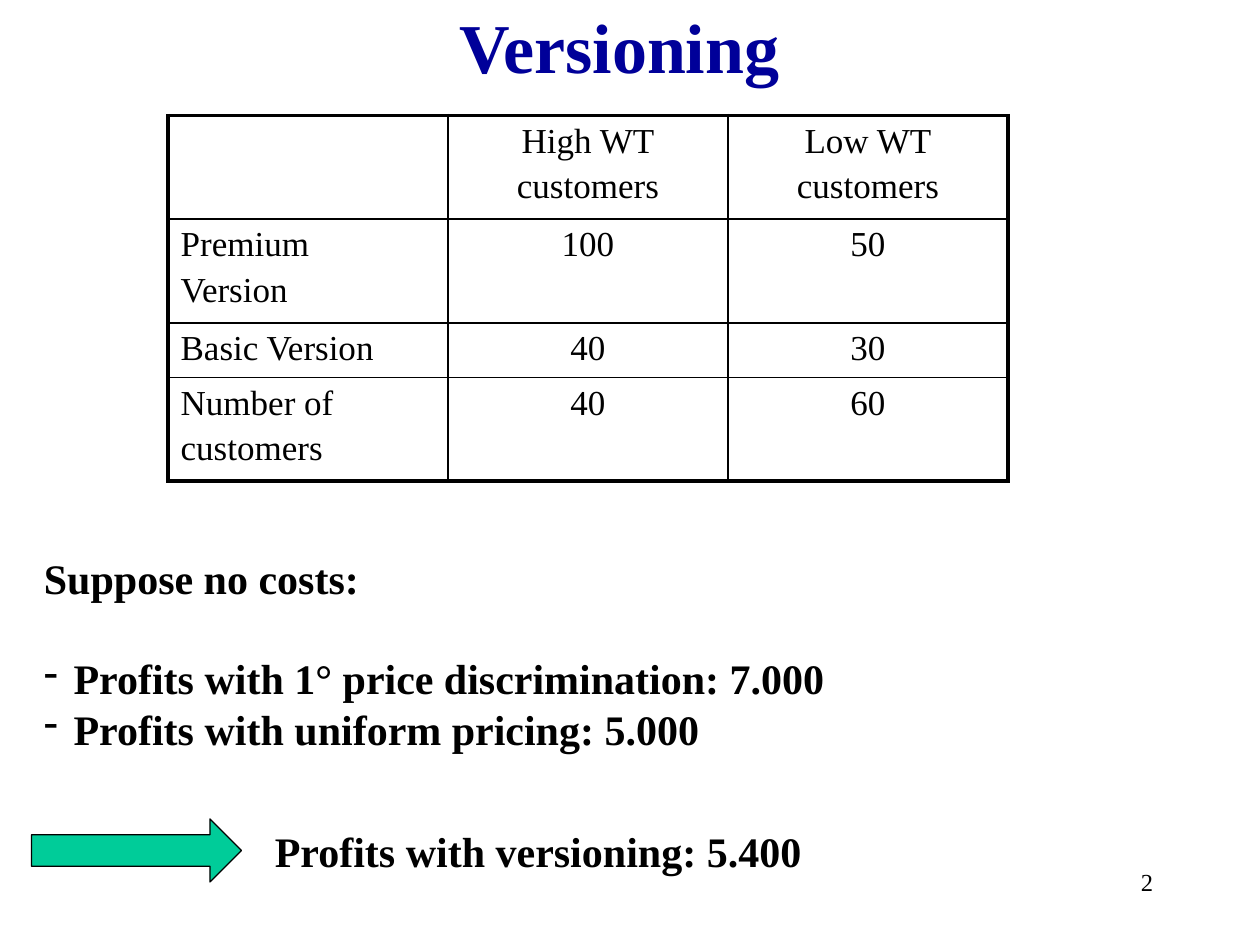
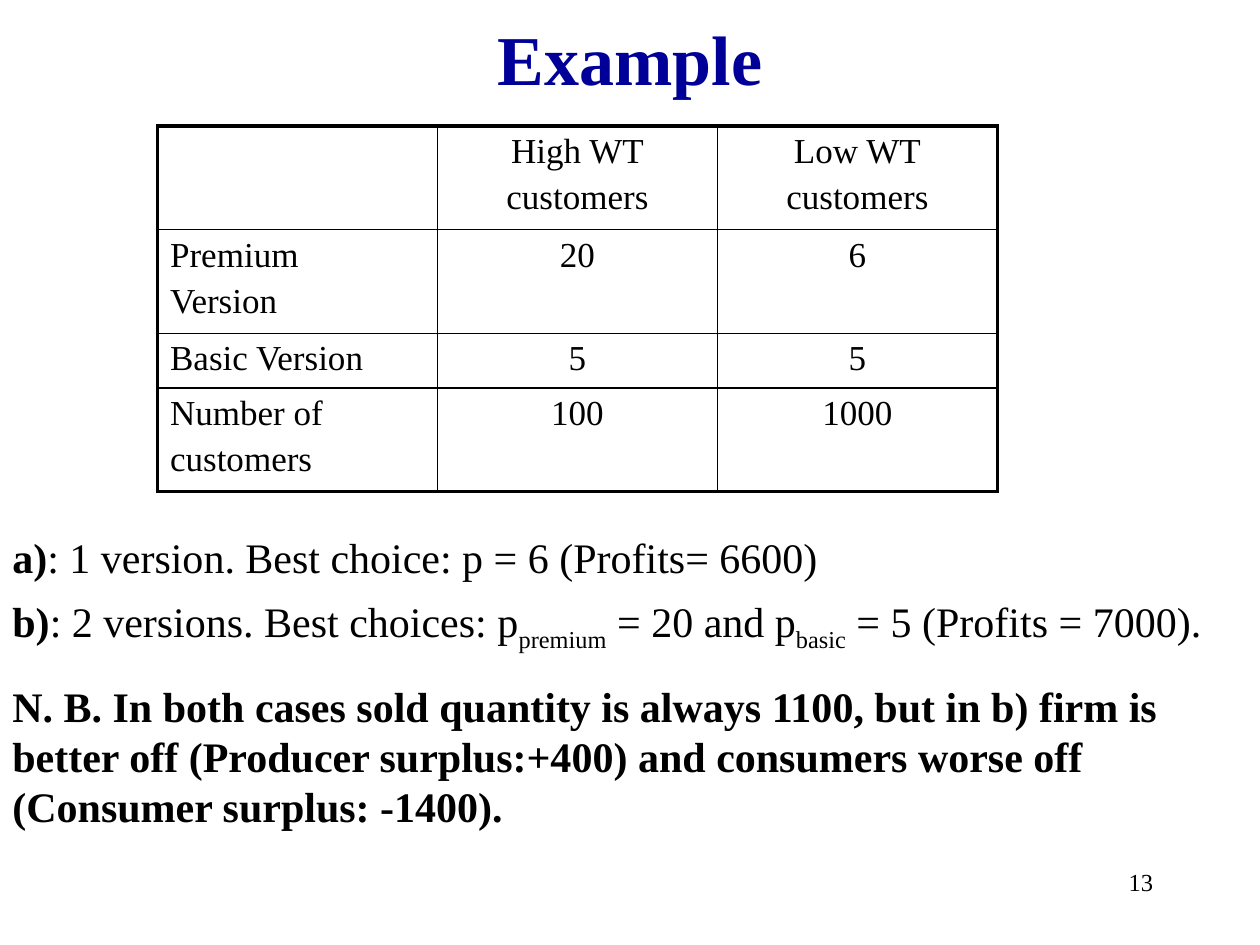
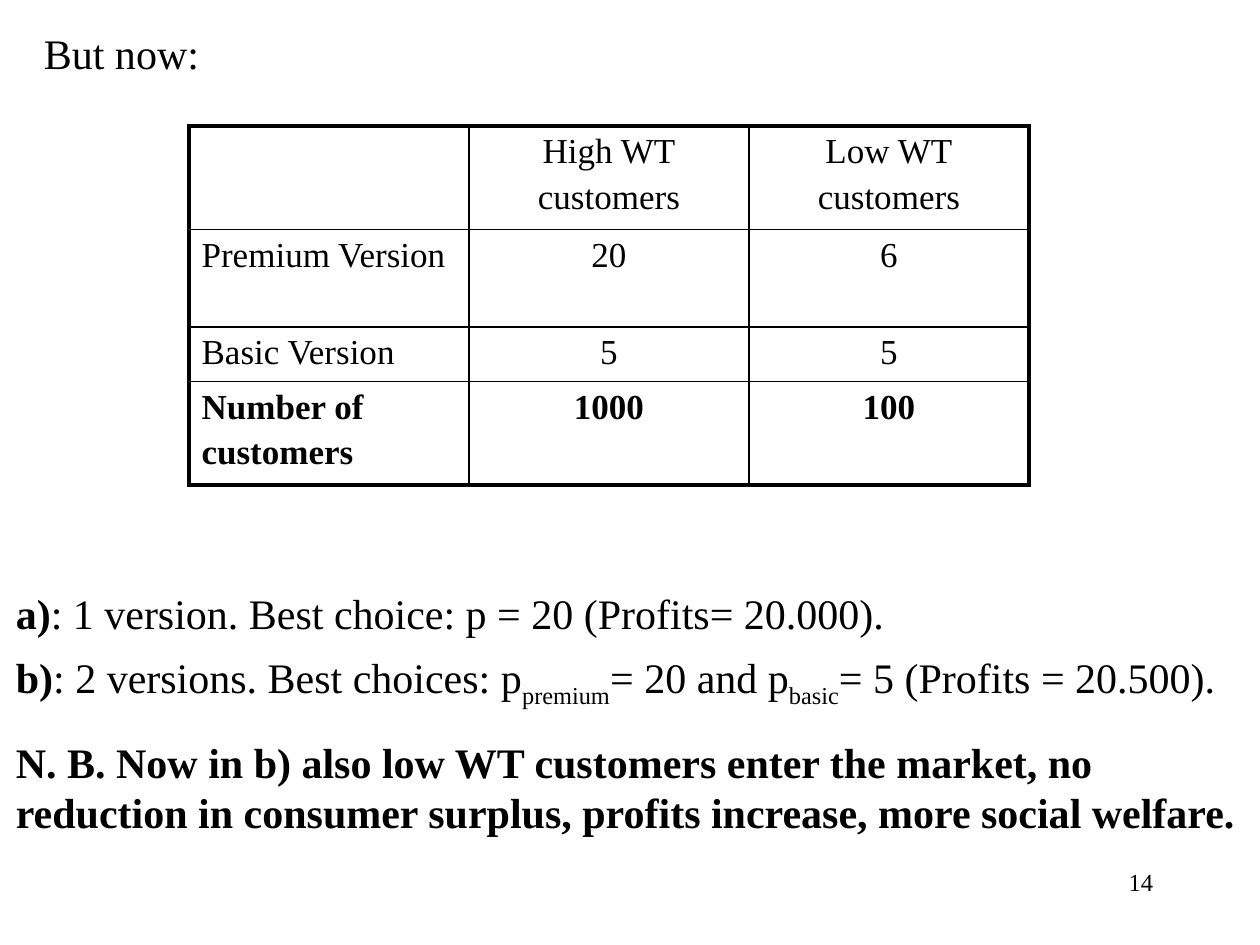
from lxml import etree
from pptx import Presentation
from pptx.dml.color import RGBColor
from pptx.enum.shapes import MSO_SHAPE
from pptx.enum.text import MSO_ANCHOR, PP_ALIGN
from pptx.oxml.ns import qn
from pptx.util import Pt

LEFT, CENTER, RIGHT = PP_ALIGN.LEFT, PP_ALIGN.CENTER, PP_ALIGN.RIGHT
TOP, MIDDLE = MSO_ANCHOR.TOP, MSO_ANCHOR.MIDDLE
RIGHT_ARROW = MSO_SHAPE.RIGHT_ARROW

COLORS = {"title": "000099", "text": "000000", "arrow": "00CC99"}
FONT = "Times New Roman"
BODY_SIZE = 24
LINE_RATIO = 1.2
COLUMN_WIDTH = 160
OUTER_BORDER, INNER_BORDER = 2.25, 1
HEADER = ["", "High WT\ncustomers", "Low WT\ncustomers"]


def answers(single, premium, basic, note):
    return [
        [("a)", "bold"), (single, "")],
        [("b)", "bold"), (": 2 versions. Best choices: p", ""), ("premium", "sub"),
         (premium, ""), ("basic", "sub"), (basic, "")],
        [(note, "bold")],
    ]


SLIDES = [
    {
        "number": "2",
        "title": ("Versioning", (48, 0, 612, 52)),
        "table_at": (96, 66),
        "row_heights": [55.5, 55.5, 29.3, 55.5],
        "rows": [
            HEADER,
            ["Premium\nVersion", "100", "50"],
            ["Basic Version", "40", "30"],
            ["Number of\ncustomers", "40", "60"],
        ],
        "texts": [
            {"content": ["Suppose no costs:",
                         "Profits with 1° price discrimination: 7.000",
                         "Profits with uniform pricing: 5.000"],
             "box": (18, 312, 654, 152), "bold": True, "gaps": [0, 28.8, 0], "bullets_from": 1},
            {"content": ["Profits with versioning: 5.400"],
             "box": (150, 468, 396, 36), "bold": True},
        ],
        "arrow": (18, 468, 120, 36),
    },
    {
        "number": "13",
        "title": ("Example", (54, -12, 612, 90)),
        "table_at": (90, 72),
        "row_heights": [59.2, 59.2, 31.2, 59.2],
        "rows": [
            HEADER,
            ["Premium\nVersion", "20", "6"],
            ["Basic Version", "5", "5"],
            ["Number of\ncustomers", "100", "1000"],
        ],
        "texts": [
            {"content": answers(
                ": 1 version. Best choice: p = 6 (Profits= 6600)",
                " = 20 and p", " = 5 (Profits = 7000).",
                "N. B. In both cases sold quantity is always 1100, but in b) firm is better off "
                "(Producer surplus:+400) and consumers worse off (Consumer surplus: -1400)."),
             "box": (0, 300, 708, 181), "gaps": [0, 12, 15.5]},
        ],
    },
    {
        "number": "14",
        "table_at": (108, 72),
        "row_heights": [59.2, 55.5, 31.2, 59.2],
        "rows": [
            HEADER,
            ["Premium Version", "20", "6"],
            ["Basic Version", "5", "5"],
            ["Number of\ncustomers", "1000", "100"],
        ],
        "bold_row": 3,
        "texts": [
            {"content": ["But now:"], "box": (18, 12, 168, 36)},
            {"content": answers(
                ": 1 version. Best choice: p = 20 (Profits= 20.000).",
                "= 20 and p", "= 5 (Profits = 20.500).",
                "N. B. Now in b) also low WT customers enter the market, no reduction in "
                "consumer surplus, profits increase, more social welfare."),
             "box": (2, 332, 720, 196), "gaps": [0, 12, 15.5]},
        ],
    },
]


def points(values):
    return [Pt(value) for value in values]


def add_bullet(paragraph):
    properties = paragraph._p.get_or_add_pPr()
    properties.set("marL", str(Pt(17)))
    properties.set("indent", str(-Pt(17)))
    etree.SubElement(properties, qn("a:buChar"), char="-")


def write_text(frame, content, size=BODY_SIZE, bold=False, color="text", align=LEFT,
               gaps=None, bullets_from=None, line_ratio=None):
    for index, runs in enumerate(content):
        paragraph = frame.paragraphs[0] if index == 0 else frame.add_paragraph()
        paragraph.alignment = align
        if line_ratio:
            paragraph.line_spacing = Pt(size * line_ratio)
        if gaps and gaps[index]:
            paragraph.space_before = Pt(gaps[index])
        if bullets_from is not None and index >= bullets_from:
            add_bullet(paragraph)
        for words, style in [(runs, "")] if isinstance(runs, str) else runs:
            run = paragraph.add_run()
            run.text = words
            run.font.name = FONT
            run.font.size = Pt(size)
            run.font.bold = bold or style == "bold"
            run.font.color.rgb = RGBColor.from_string(COLORS[color])
            if style == "sub":
                run.font._element.set("baseline", "-25000")


def add_text(slide, content, box, anchor=TOP, **text_format):
    frame = slide.shapes.add_textbox(*points(box)).text_frame
    frame.word_wrap = True
    frame.vertical_anchor = anchor
    write_text(frame, content, line_ratio=LINE_RATIO, **text_format)


def set_borders(cell, widths):
    properties = cell._tc.get_or_add_tcPr()
    for index, (side, width) in enumerate(widths.items()):
        line = etree.Element(qn(f"a:ln{side}"), w=str(Pt(width)))
        fill = etree.SubElement(line, qn("a:solidFill"))
        etree.SubElement(fill, qn("a:srgbClr"), val=COLORS["text"])
        properties.insert(index, line)


def add_customer_table(slide, rows, position, row_heights, bold_row=None):
    last_row, last_column = len(rows) - 1, len(HEADER) - 1
    size = (COLUMN_WIDTH * len(HEADER), sum(row_heights))
    table = slide.shapes.add_table(len(rows), len(HEADER), *points(position + size)).table
    table.first_row = table.horz_banding = False
    for column in table.columns:
        column.width = Pt(COLUMN_WIDTH)
    for row_index, row in enumerate(rows):
        table.rows[row_index].height = Pt(row_heights[row_index])
        for column_index, words in enumerate(row):
            cell = table.cell(row_index, column_index)
            cell.fill.background()
            edges = {"L": column_index == 0, "R": column_index == last_column,
                     "T": row_index == 0, "B": row_index == last_row}
            set_borders(cell, {side: OUTER_BORDER if outer else INNER_BORDER
                               for side, outer in edges.items()})
            if words:
                write_text(cell.text_frame, words.split("\n"), size=20, gaps=[0, 4],
                           bold=row_index == bold_row,
                           align=CENTER if column_index else LEFT)


def add_arrow(slide, box):
    arrow = slide.shapes.add_shape(RIGHT_ARROW, *points(box))
    arrow.shadow.inherit = False
    arrow.fill.solid()
    arrow.fill.fore_color.rgb = RGBColor.from_string(COLORS["arrow"])
    arrow.line.color.rgb = RGBColor.from_string(COLORS["text"])
    arrow.line.width = Pt(0.75)


def build_slide(presentation, data):
    slide = presentation.slides.add_slide(presentation.slide_layouts[6])
    add_text(slide, [data["number"]], (516, 492, 150, 36), size=14, align=RIGHT)
    add_customer_table(slide, data["rows"], data["table_at"], data["row_heights"],
                       data.get("bold_row"))
    if "title" in data:
        title, box = data["title"]
        add_text(slide, [title], box, anchor=MIDDLE, size=40, bold=True,
                 color="title", align=CENTER)
    for text in data["texts"]:
        add_text(slide, **text)
    if "arrow" in data:
        add_arrow(slide, data["arrow"])


def main():
    presentation = Presentation()
    presentation.slide_width, presentation.slide_height = Pt(720), Pt(540)
    for data in SLIDES:
        build_slide(presentation, data)
    presentation.save("out.pptx")


if __name__ == "__main__":
    main()
